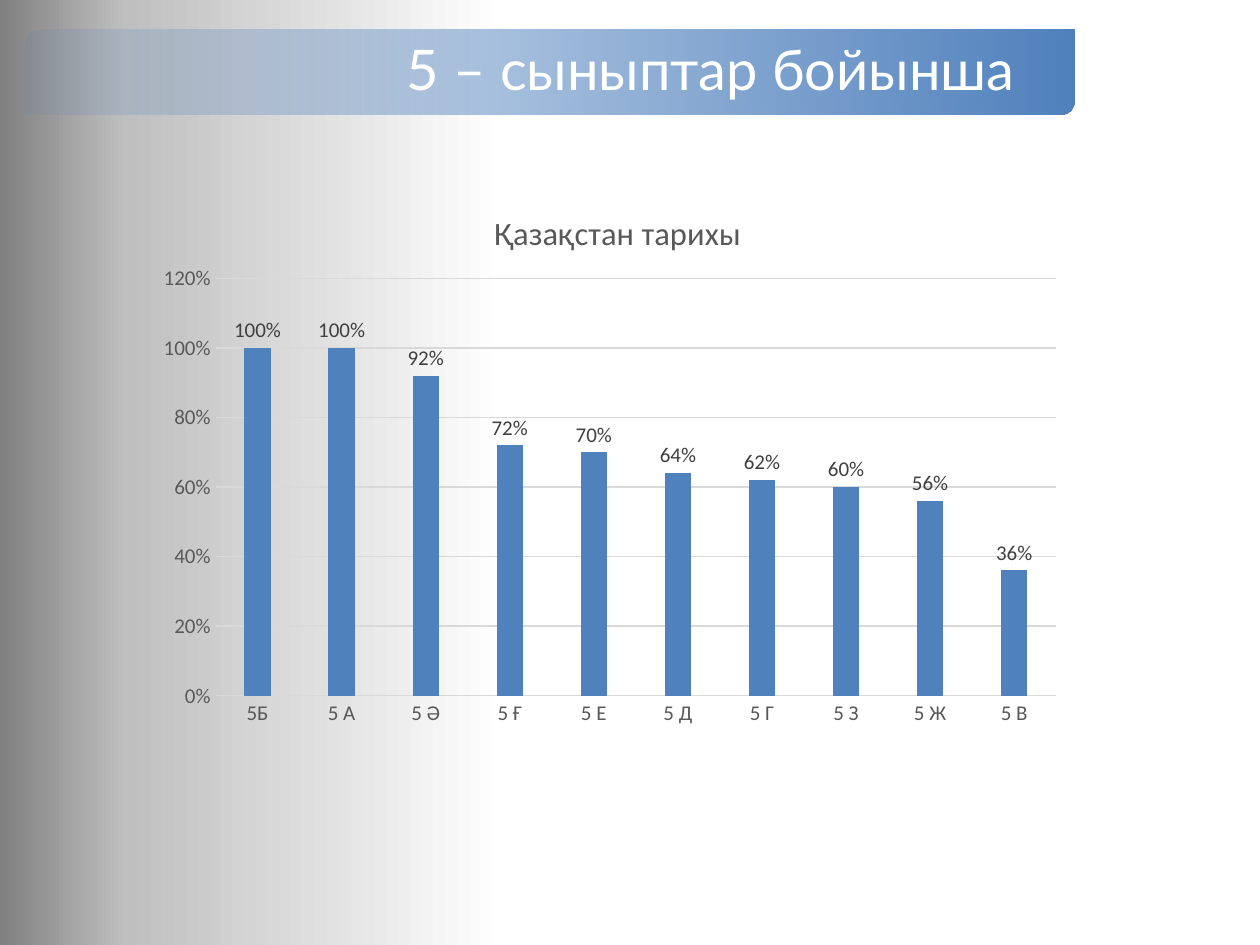
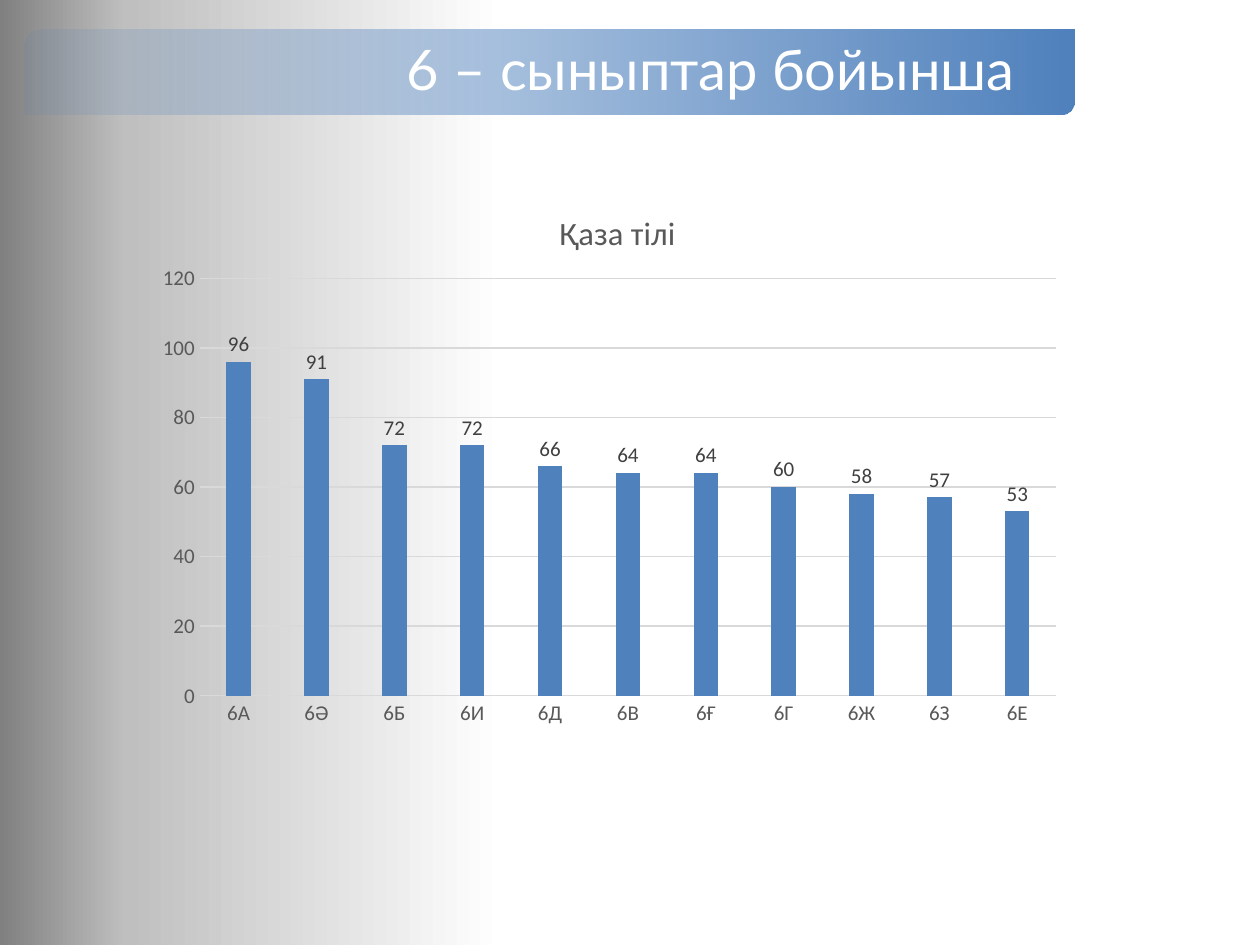
from dataclasses import dataclass

from lxml.etree import SubElement
from pptx import Presentation
from pptx.chart.data import CategoryChartData
from pptx.dml.color import RGBColor
from pptx.enum.chart import XL_CHART_TYPE, XL_LABEL_POSITION, XL_TICK_MARK
from pptx.enum.shapes import MSO_SHAPE
from pptx.enum.text import MSO_ANCHOR, PP_ALIGN
from pptx.oxml import parse_xml
from pptx.oxml.ns import nsdecls, qn
from pptx.util import Cm, Pt


@dataclass(frozen=True)
class Theme:
    accent: str = "4F81BD"
    white: str = "FFFFFF"
    axis_text: str = "595959"
    label_text: str = "404040"
    grid: str = "D9D9D9"
    backdrop: tuple = ((60, "FFFFFF", 100), (90, "BFBFBF", 100), (100, "808080", 100))
    band: tuple = ((0, "4F81BD", 10), (100, "4F81BD", 100))
    title_font: str = "Lato"
    chart_font: str = "Calibri"
    title_size: float = 32
    subject_size: float = 18.6
    chart_size: float = 12


THEME = Theme()


def format_font(font, name, size, color):
    font.name = name
    font.size = Pt(size)
    font.bold = False
    font.color.rgb = RGBColor.from_string(color)


def write_text(frame, text, *, font, size, color, spacing=None, align=None):
    paragraph = frame.paragraphs[0]
    paragraph.line_spacing = spacing
    paragraph.alignment = align
    run = paragraph.add_run()
    run.text = text
    format_font(run.font, font, size, color)


def set_gradient(fill, owner, stops, angle):
    fill.gradient()
    fill.gradient_angle = angle
    stop_list = owner.find(".//" + qn("a:gsLst"))
    for stop in list(stop_list):
        stop_list.remove(stop)
    for position, color, opacity in stops:
        stop = SubElement(stop_list, qn("a:gs"), pos=str(position * 1000))
        paint = SubElement(stop, qn("a:srgbClr"), val=color)
        if opacity < 100:
            SubElement(paint, qn("a:alpha"), val=str(opacity * 1000))


def set_layout(parent, index, target=None, **fractions):
    for old in parent.findall(qn("c:layout")):
        parent.remove(old)
    layout = parse_xml(f"<c:layout {nsdecls('c')}><c:manualLayout/></c:layout>")
    manual = layout[0]
    if target:
        SubElement(manual, qn("c:layoutTarget"), val=target)
    for edge in ("x", "y"):
        SubElement(manual, qn(f"c:{edge}Mode"), val="edge")
    for name, fraction in fractions.items():
        SubElement(manual, qn(f"c:{name}"), val=f"{fraction:.3f}")
    parent.insert(index, layout)


class Deck:
    def __init__(self, theme):
        self.theme = theme
        self.presentation = Presentation()
        self.presentation.slide_width = Cm(25.4)
        self.presentation.slide_height = Cm(19.05)
        self.slide = None

    def add_slide(self):
        self.slide = self.presentation.slides.add_slide(self.presentation.slide_layouts[6])
        set_gradient(self.slide.background.fill, self.slide.element, self.theme.backdrop, 180)

    def add_title_band(self, text):
        theme = self.theme
        band = self.slide.shapes.add_shape(
            MSO_SHAPE.ROUND_2_DIAG_RECTANGLE, Cm(0.5), Cm(0.6), Cm(21.17), Cm(1.71))
        band.shadow.inherit = False
        band.line.fill.background()
        set_gradient(band.fill, band.element, theme.band, 0)
        frame = band.text_frame
        frame.word_wrap = True
        frame.vertical_anchor = MSO_ANCHOR.MIDDLE
        frame.margin_left = Cm(7.61)
        frame.margin_right = frame.margin_top = frame.margin_bottom = Cm(0.35)
        write_text(frame, text, font=theme.title_font, size=theme.title_size,
                   color=theme.white, spacing=0.9, align=PP_ALIGN.LEFT)

    def add_results_chart(self, subject, results, number_format, top, subject_left, plot_left):
        theme = self.theme
        data = CategoryChartData(number_format=number_format)
        data.categories = list(results)
        data.add_series("Series 1", list(results.values()))
        chart = self.slide.shapes.add_chart(
            XL_CHART_TYPE.COLUMN_CLUSTERED, Cm(2.9), Cm(3.56), Cm(18.77), Cm(11.28), data).chart
        format_font(chart.font, theme.chart_font, theme.chart_size, theme.axis_text)
        chart.has_legend = False
        chart.has_title = True
        write_text(chart.chart_title.text_frame, subject, font=theme.chart_font,
                   size=theme.subject_size, color=theme.axis_text)
        chart.chart_title.include_in_layout = False
        set_layout(chart.element.find(".//" + qn("c:title")), 1, x=subject_left, y=0.05)
        set_layout(chart.element.find(".//" + qn("c:plotArea")), 0, "inner",
                   x=plot_left, y=0.182, w=0.98 - plot_left, h=0.746)
        self.style_axes(chart, number_format, top)
        self.style_columns(chart.plots[0], number_format)

    def style_axes(self, chart, number_format, top):
        theme = self.theme
        classes, scale = chart.category_axis, chart.value_axis
        for axis in (classes, scale):
            axis.major_tick_mark = axis.minor_tick_mark = XL_TICK_MARK.NONE
            format_font(axis.tick_labels.font, theme.chart_font, theme.chart_size, theme.axis_text)
        scale.has_major_gridlines = True
        for line in (classes.format.line, scale.major_gridlines.format.line):
            line.color.rgb = RGBColor.from_string(theme.grid)
            line.width = Pt(0.75)
        scale.format.line.fill.background()
        scale.minimum_scale, scale.maximum_scale, scale.major_unit = 0, top, top / 6
        scale.tick_labels.number_format = number_format
        scale.tick_labels.number_format_is_linked = False

    def style_columns(self, plot, number_format):
        theme = self.theme
        plot.vary_by_categories = False
        plot.gap_width = 219
        plot.overlap = -27
        columns = plot.series[0]
        columns.format.fill.solid()
        columns.format.fill.fore_color.rgb = RGBColor.from_string(theme.accent)
        labels = columns.data_labels
        labels.show_value = True
        labels.position = XL_LABEL_POSITION.OUTSIDE_END
        labels.number_format = number_format
        labels.number_format_is_linked = False
        format_font(labels.font, theme.chart_font, theme.chart_size, theme.label_text)


GRADES = (
    ("5 – сыныптар бойынша", dict(
        subject="Қазақстан тарихы",
        results={"5Б": 1, "5 А": 1, "5 Ә": 0.92, "5 Ғ": 0.72, "5 Е": 0.7,
                 "5 Д": 0.64, "5 Г": 0.62, "5 З": 0.6, "5 Ж": 0.56, "5 В": 0.36},
        number_format="0%", top=1.2, subject_left=0.37, plot_left=0.077)),
    ("6 – сыныптар бойынша", dict(
        subject="Қаза тілі",
        results={"6А": 96, "6Ә": 91, "6Б": 72, "6И": 72, "6Д": 66, "6В": 64,
                 "6Ғ": 64, "6Г": 60, "6Ж": 58, "6З": 57, "6Е": 53},
        number_format="0", top=120, subject_left=0.44, plot_left=0.06)),
)


def main():
    deck = Deck(THEME)
    for heading, chart_content in GRADES:
        deck.add_slide()
        deck.add_title_band(heading)
        deck.add_results_chart(**chart_content)
    deck.presentation.save("out.pptx")


if __name__ == "__main__":
    main()
